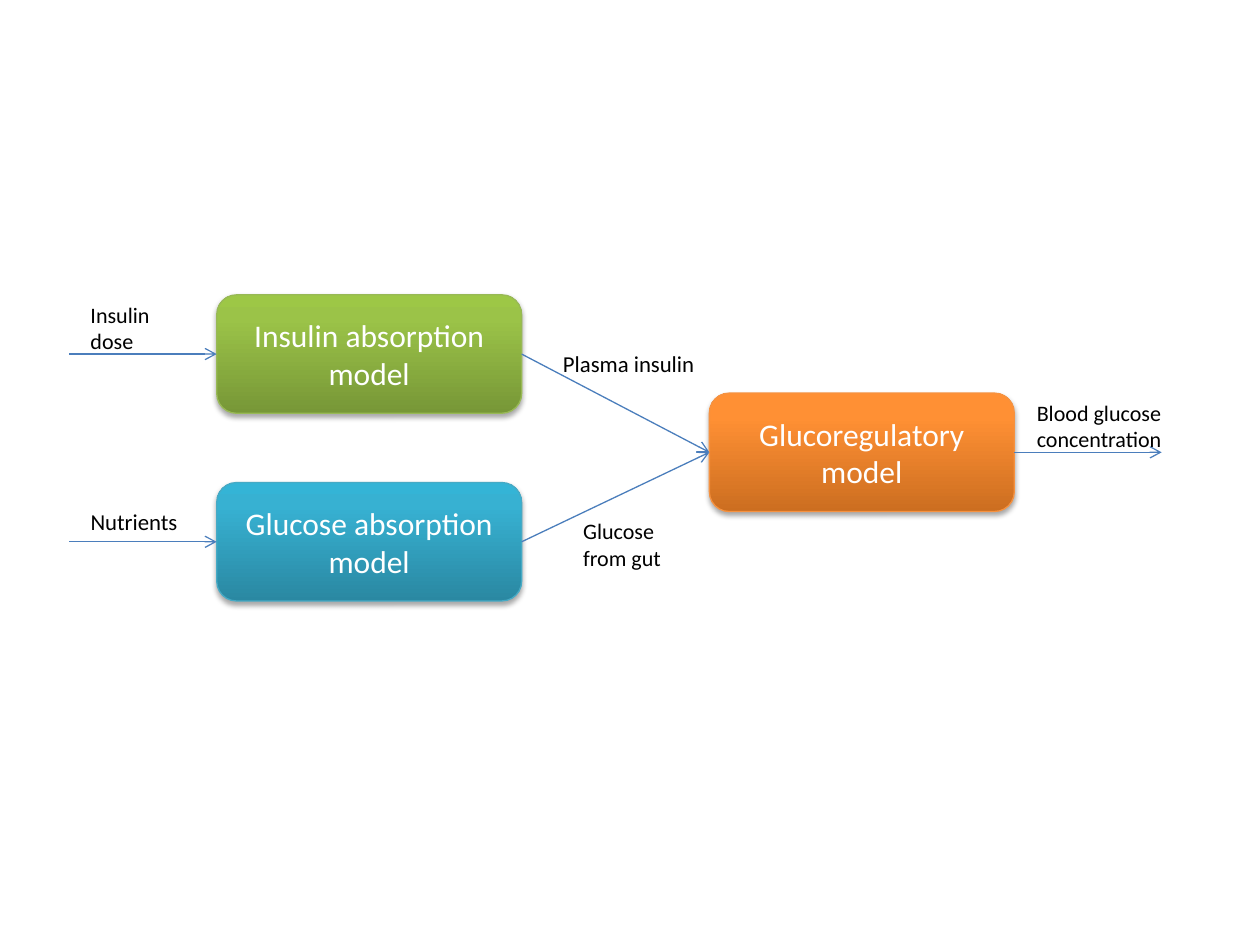
from copy import deepcopy

from lxml.etree import SubElement
from pptx import Presentation
from pptx.dml.color import RGBColor
from pptx.enum.shapes import MSO_CONNECTOR, MSO_SHAPE
from pptx.enum.text import MSO_ANCHOR, PP_ALIGN
from pptx.oxml.ns import qn
from pptx.util import Inches, Pt

COLORS = {"text": "000000", "box_text": "FFFFFF", "arrow": "4B7EBC", "shadow": "000000"}
BOX_WIDTH, BOX_HEIGHT = 2.42, 0.94
ARROW_LENGTH = 1.17
LEFT, RIGHT = 1, 3


def write_text(shape, text, size, color):
    shape.text_frame.word_wrap = True
    paragraph = shape.text_frame.paragraphs[0]
    run = paragraph.add_run()
    run.text = text
    run.font.name = "Calibri"
    run.font.size = Pt(size)
    run.font.color.rgb = RGBColor.from_string(color)
    return paragraph


def add_arrow(begin_x, begin_y, end_x, end_y, source=None, target=None):
    """Draw an arrow, joined to the source's right and target's left side if given."""
    arrow = slide.shapes.add_connector(
        MSO_CONNECTOR.STRAIGHT, Inches(begin_x), Inches(begin_y), Inches(end_x), Inches(end_y))
    if source is not None:
        arrow.begin_connect(source, RIGHT)
    if target is not None:
        arrow.end_connect(target, LEFT)
    arrow.line.color.rgb = RGBColor.from_string(COLORS["arrow"])
    arrow.line.width = Pt(0.75)
    properties = arrow.element.spPr
    SubElement(properties.find(qn("a:ln")), qn("a:tailEnd"), type="arrow")
    SubElement(properties, qn("a:effectLst"))


presentation = Presentation()
presentation.slide_width = Inches(10)
presentation.slide_height = Inches(7.5)
slide = presentation.slides.add_slide(presentation.slide_layouts[6])

# Model boxes: text, left, top, gradient from bottom to top, outline
models = [
    ("Insulin absorption model", 1.72, 2.34, ("779737", "9BC348", "9DC746"), "98B955"),
    ("Glucose absorption model", 1.72, 3.83, ("2A88A2", "37B1D2", "34B4D6"), "46AAC5"),
    ("Glucoregulatory model", 5.63, 3.12, ("CC6E20", "FF9034", "FF9136"), "F69240"),
]
boxes = []
for text, left, top, gradient, outline in models:
    box = slide.shapes.add_shape(
        MSO_SHAPE.ROUNDED_RECTANGLE, Inches(left), Inches(top), Inches(BOX_WIDTH), Inches(BOX_HEIGHT))
    box.fill.gradient()
    box.fill.gradient_angle = 90
    properties = box.element.spPr
    stop_list = properties.find(".//" + qn("a:gsLst"))
    stop_list.append(deepcopy(stop_list[-1]))
    for stop, position, color in zip(box.fill.gradient_stops, (0, 0.8, 1), gradient):
        stop.position = position
        stop.color.rgb = RGBColor.from_string(color)
    box.line.color.rgb = RGBColor.from_string(outline)
    box.line.width = Pt(0.75)

    box.shadow.inherit = False
    shadow = SubElement(properties.find(qn("a:effectLst")), qn("a:outerShdw"),
                        blurRad=str(Pt(3.1)), dist=str(Pt(1.8)), dir="5400000", rotWithShape="0")
    shadow_color = SubElement(shadow, qn("a:srgbClr"), val=COLORS["shadow"])
    SubElement(shadow_color, qn("a:alpha"), val="35000")

    box.text_frame.vertical_anchor = MSO_ANCHOR.MIDDLE
    write_text(box, text, 18, COLORS["box_text"]).alignment = PP_ALIGN.CENTER
    boxes.append(box)

insulin, glucose, regulatory = boxes
regulatory_left, regulatory_middle = 5.63, 3.12 + BOX_HEIGHT / 2
for box, (_, left, top, _, _) in zip((insulin, glucose), models):
    middle = top + BOX_HEIGHT / 2
    add_arrow(left + BOX_WIDTH, middle, regulatory_left, regulatory_middle, box, regulatory)
    add_arrow(left - ARROW_LENGTH, middle, left, middle, target=box)
output_x = regulatory_left + BOX_WIDTH
add_arrow(output_x, regulatory_middle, output_x + ARROW_LENGTH, regulatory_middle, source=regulatory)

# Signal labels: text, left, top, width, height, size
labels = [
    ("Insulin dose", 0.62, 2.34, 0.94, 0.47, 12.6),
    ("Nutrients", 0.62, 3.98, 1.09, 0.47, 13),
    ("Plasma insulin", 4.37, 2.73, 1.26, 0.31, 13),
    ("Glucose from gut", 4.53, 4.06, 1.02, 0.47, 12.6),
    ("Blood glucose concentration", 8.13, 3.12, 1.25, 0.47, 12.6),
]
for text, left, top, width, height, size in labels:
    label = slide.shapes.add_textbox(Inches(left), Inches(top), Inches(width), Inches(height))
    write_text(label, text, size, COLORS["text"])

presentation.save("out.pptx")
